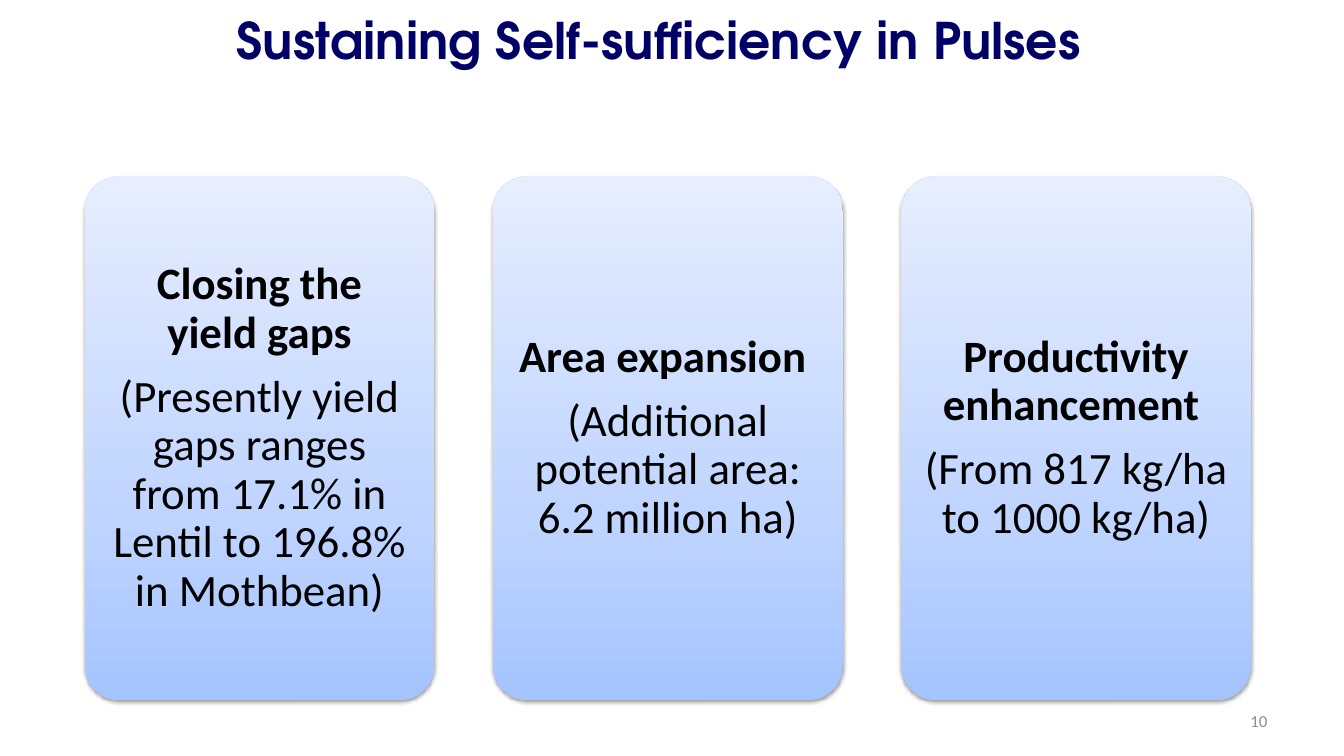
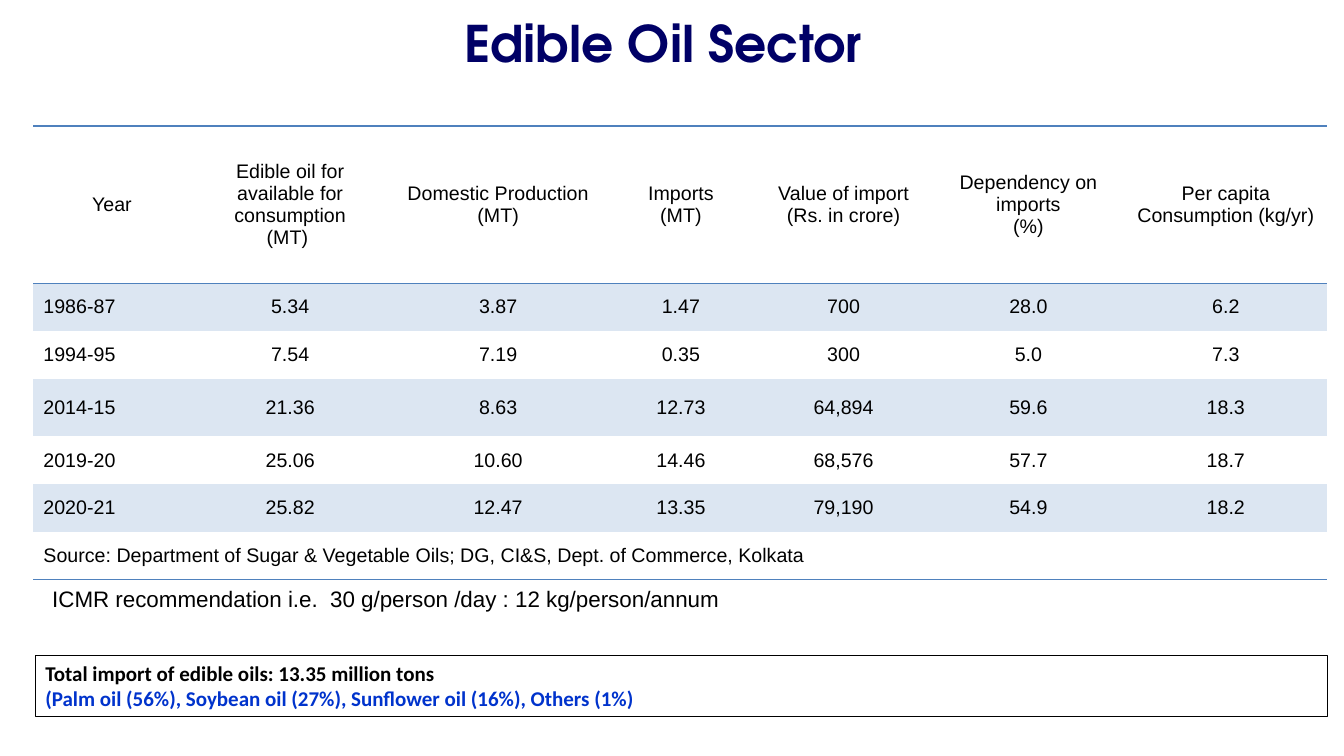
from lxml import etree
from pptx import Presentation, util as u
from pptx.dml.color import RGBColor
from pptx.enum import shapes, text
from pptx.oxml import ns

WIDE, HIGH = u.Inches(13.33), u.Inches(7.5)
INK, NAVY, BLUE, GREY = "000000", "000066", "0033CC", "8C8C8C"
RULE, BAND = "4F81BD", "DCE6F2"
STOPS = ((0, "A4C4FF"), (35, "BFD4FF"), (100, "E6EEFF"))
PLAIN = "{2D5ABB26-0587-4C30-8999-92F81FD0307C}"
LEFT, MID, RIGHT = text.PP_ALIGN.LEFT, text.PP_ALIGN.CENTER, text.PP_ALIGN.RIGHT
CARDS = (
    ("Closing the yield gaps",
     "(Presently yield gaps ranges from 17.1% in Lentil to 196.8% in Mothbean)"),
    ("Area expansion ", "(Additional potential area: 6.2 million ha)"),
    ("Productivity enhancement ", "(From 817 kg/ha to 1000 kg/ha)"),
)
HEADS = (
    ("Year",),
    ("Edible oil for available for consumption", "(MT) "),
    ("Domestic Production", "(MT)"),
    ("Imports", "(MT)"),
    ("Value of import (Rs. in crore)",),
    ("Dependency on imports", "(%)"),
    ("Per capita Consumption (kg/yr)",),
)
ROWS = (
    ("1986-87", "5.34", "3.87", "1.47", "700", "28.0", "6.2"),
    ("1994-95", "7.54", "7.19", "0.35", "300", "5.0", "7.3"),
    ("2014-15", "21.36", "8.63", "12.73", "64,894", "59.6", "18.3"),
    ("2019-20", "25.06", "10.60", "14.46", "68,576", "57.7", "18.7"),
    ("2020-21", "25.82", "12.47", "13.35", "79,190", "54.9", "18.2"),
)
SOURCE = "Source: Department of Sugar & Vegetable Oils; DG, CI&S, Dept. of Commerce, Kolkata"
COLS = (1.56, 1.98, 2.15, 1.48, 1.75, 1.92, 2)
TALL = (1.55, 0.47, 0.47, 0.57, 0.47, 0.47, 0.47)


def rgb(code):
    """Turn a hex string into a colour."""
    return RGBColor.from_string(code)


def area(left, top, wide, high):
    """Turn percentages of the slide into lengths."""
    return [int(size * part / 100) for size, part in
            zip((WIDE, HIGH, WIDE, HIGH), (left, top, wide, high))]


def node(root, tag, **attrs):
    """Add a drawing element under root."""
    return etree.SubElement(root, ns.qn("a:" + tag), {k: str(v) for k, v in attrs.items()})


def write(frame, *lines, **base):
    """Write paragraphs; a line may be a (text, overrides) pair."""
    frame.word_wrap = True
    frame.vertical_anchor = base.get("anchor", text.MSO_ANCHOR.MIDDLE)
    for i, line in enumerate(lines):
        words, extra = (line, {}) if isinstance(line, str) else line
        form = {**base, **extra}
        para = frame.paragraphs[0] if i == 0 else frame.add_paragraph()
        para.alignment = form.get("align", LEFT)
        if "lead" in form:
            para.line_spacing = form["lead"]
        if "after" in form:
            para.space_after = u.Pt(form["after"])
        run = para.add_run()
        run.text = words
        run.font.name = form.get("font", "Calibri")
        run.font.size = u.Pt(form["size"])
        run.font.bold = form.get("bold", False)
        run.font.color.rgb = rgb(form.get("color", INK))


def label(slide, box, *lines, **form):
    """Add a text box."""
    write(slide.shapes.add_textbox(*area(*box)).text_frame, *lines, **form)


def title(slide, box, words, align=MID):
    """Add a slide heading."""
    label(slide, box, words, font="TeX Gyre Adventor", size=36, bold=True,
          color=NAVY, align=align)


def card(slide, box, head, body):
    """Add a shaded rounded card with a bold head."""
    form = slide.shapes.add_shape(shapes.MSO_SHAPE.ROUNDED_RECTANGLE, *area(*box))
    form.adjustments[0] = 0.1
    form.line.fill.background()
    form.fill.gradient()
    form.fill.gradient_angle = 90
    stops = form.fill._fill._gradFill.find(ns.qn("a:gsLst"))
    stops[:] = []
    for pos, code in STOPS:
        node(node(stops, "gs", pos=pos * 1000), "srgbClr", val=code)
    shade = node(node(form._element.spPr, "effectLst"), "outerShdw", blurRad=u.Pt(3.1),
                 dist=u.Pt(1.6), dir=5400000, rotWithShape=0)
    node(node(shade, "srgbClr", val=INK), "alpha", val=38000)
    frame = form.text_frame
    frame.margin_left = frame.margin_right = u.Inches(0.13)
    frame.margin_top = frame.margin_bottom = u.Inches(0.13)
    write(frame, (head, {"bold": True}), body, size=32, align=MID, lead=0.9, after=11.2)


def edge(cell, side):
    """Draw a rule on the top (lnT) or bottom (lnB) of a cell."""
    props = cell._tc.get_or_add_tcPr()
    line = node(props, side, w=u.Pt(1))
    node(node(line, "solidFill"), "srgbClr", val=RULE)
    props.insert(0, line)


def grid(slide, box):
    """Add the table of edible oil figures."""
    left, top, wide, high = area(*box)
    table = slide.shapes.add_table(len(TALL), len(COLS), left, top, wide, high).table
    table.first_row = table.horz_banding = False
    table._tbl.tblPr.find(ns.qn("a:tableStyleId")).text = PLAIN
    for col, part in zip(table.columns, COLS):
        col.width = int(wide * part / sum(COLS))
    for row, part in zip(table.rows, TALL):
        row.height = int(high * part / sum(TALL))
    data = [HEADS, *([(word,) for word in row] for row in ROWS), [(SOURCE,)]]
    last = len(data) - 1
    table.cell(last, 0).merge(table.cell(last, len(COLS) - 1))
    for r, row in enumerate(data):
        for c in range(len(COLS)):
            cell = table.cell(r, c)
            if c < len(row):
                write(cell.text_frame, *row[c], font="Arial", size=14,
                      align=LEFT if r and not c else MID)
            cell.vertical_anchor = text.MSO_ANCHOR.MIDDLE
            if r % 2 and r < last:
                cell.fill.solid()
                cell.fill.fore_color.rgb = rgb(BAND)
            else:
                cell.fill.background()
            if r in (0, last):
                edge(cell, "lnB")
            if r == 0:
                edge(cell, "lnT")


def panel(slide, box, *lines, **form):
    """Add an outlined box of text."""
    rect = slide.shapes.add_shape(shapes.MSO_SHAPE.RECTANGLE, *area(*box))
    rect.shadow.inherit = False
    rect.fill.background()
    rect.line.color.rgb = rgb(INK)
    rect.line.width = u.Pt(0.75)
    write(rect.text_frame, *lines, **form)


def pulses(slide):
    """Build the slide on pulses."""
    label(slide, (71.7, 92.67, 23.33, 5.33), "10", size=12, color=GREY, align=RIGHT)
    for i, (head, body) in enumerate(CARDS):
        card(slide, (6.3 + i * 30.38, 23.33, 26.03, 69.33), head, body)
    title(slide, (16.88, 0.53, 67.73, 9.47), "Sustaining Self-sufficiency in Pulses", LEFT)


def oils(slide):
    """Build the slide on edible oil."""
    grid(slide, (2.48, 16.67, 96.23, 60))
    title(slide, (4.35, 1.07, 90, 8.93), "Edible Oil Sector")
    panel(slide, (2.63, 86.67, 96.15, 8.13),
          "Total import of edible oils: 13.35 million tons",
          ("(Palm oil (56%), Soybean oil (27%), Sunflower oil (16%), Others (1%)",
           {"color": BLUE}), size=15, bold=True)
    label(slide, (3.15, 76.8, 91.28, 4.93),
          "ICMR recommendation i.e.  30 g/person /day : 12 kg/person/annum",
          font="Arial", size=16, anchor=text.MSO_ANCHOR.TOP)


def main():
    """Build and save the slides."""
    deck = Presentation()
    deck.slide_width, deck.slide_height = WIDE, HIGH
    for build in (pulses, oils):
        build(deck.slides.add_slide(deck.slide_layouts[6]))
    deck.save("out.pptx")


if __name__ == "__main__":
    main()
